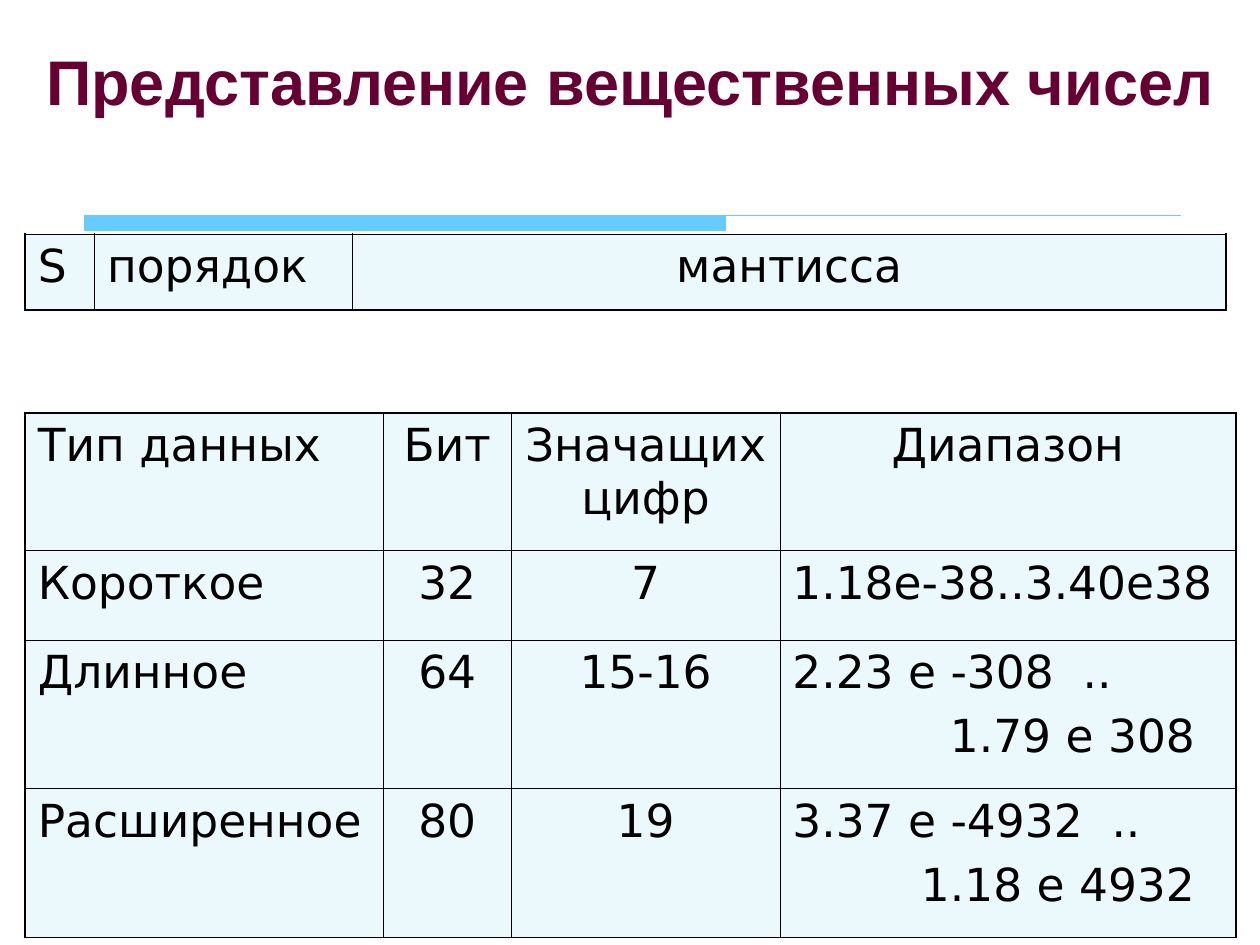
import pptx
import pptx.dml.color
import pptx.enum.text
import pptx.oxml
import pptx.oxml.ns
import pptx.util

Inches = pptx.util.Inches
Pt = pptx.util.Pt
ALIGN = pptx.enum.text.PP_ALIGN
LEFT, CENTER = ALIGN.LEFT, ALIGN.CENTER

TITLE = "Представление вещественных чисел"
BLUE, MAROON, BLACK, PALE = "66CCFF", "660033", "000000", "ECF9FC"
OUTER_LINE, INNER_LINE = 1.08, 0.45

TYPES_TABLE = {
    "position": (0.2, 3.28),
    "columns": [2.84, 1.02, 2.13, 3.62],
    "rows": [1.09, 0.71, 1.18, 1.18],
    "alignments": [LEFT, CENTER, CENTER, LEFT],
    "cells": [
        ["Тип данных", "Бит", "Значащих цифр", "Диапазон"],
        ["Короткое", "32", "7", "1.18е-38..3.40е38"],
        ["Длинное", "64", "15-16", "2.23 е -308  ..\n1.79 е 308"],
        ["Расширенное", "80", "19", "3.37 е -4932  ..\n1.18 е 4932"],
    ],
    "second_line_indents": {2: 1.25, 3: 1.02},
    "centered": (0, 3),
}
FORMAT_TABLE = {
    "position": (0.2, 1.86),
    "columns": [0.55, 2.05, 6.93],
    "rows": [0.6],
    "alignments": [LEFT, LEFT, CENTER],
    "cells": [["S", "порядок", "мантисса"]],
    "second_line_indents": {},
    "centered": None,
}


def color(value):
    return pptx.dml.color.RGBColor.from_string(value)


def set_font(paragraph, name, size, value, bold=False):
    paragraph.font.name = name
    paragraph.font.size = Pt(size)
    paragraph.font.color.rgb = color(value)
    paragraph.font.bold = bold


def set_borders(cell, widths):
    properties = cell._tc.get_or_add_tcPr()
    for index, (side, width) in enumerate(widths.items()):
        line = pptx.oxml.parse_xml(
            f'<a:ln{side} {pptx.oxml.ns.nsdecls("a")} w="{int(Pt(width))}">'
            f'<a:solidFill><a:srgbClr val="{BLACK}"/></a:solidFill></a:ln{side}>'
        )
        properties.insert(index, line)


def add_table(slide, data):
    columns, rows = data["columns"], data["rows"]
    left, top = data["position"]
    table = slide.shapes.add_table(
        len(rows), len(columns), Inches(left), Inches(top),
        Inches(sum(columns)), Inches(sum(rows)),
    ).table
    table.first_row = False
    table.horz_banding = False
    for column, width in zip(table.columns, columns):
        column.width = Inches(width)
    for row, height in zip(table.rows, rows):
        row.height = Inches(height)
    for row, texts in enumerate(data["cells"]):
        for column, text in enumerate(texts):
            cell = table.cell(row, column)
            cell.text = text
            cell.fill.solid()
            cell.fill.fore_color.rgb = color(PALE)
            outer = {
                "L": column == 0,
                "R": column == len(columns) - 1,
                "T": row == 0,
                "B": row == len(rows) - 1,
            }
            set_borders(cell, {side: OUTER_LINE if edge else INNER_LINE
                               for side, edge in outer.items()})
            centered = (row, column) == data["centered"]
            for index, paragraph in enumerate(cell.text_frame.paragraphs):
                paragraph.alignment = CENTER if centered else data["alignments"][column]
                if index:
                    indent = Inches(data["second_line_indents"][row])
                    paragraph._p.get_or_add_pPr().set("marL", str(indent))
                    paragraph.space_before = Pt(6.5)
                set_font(paragraph, "DejaVu Sans", 26, BLACK)


def add_title(slide):
    title = slide.shapes.title
    title.left, title.top = Inches(0), Inches(0.33)
    title.width, title.height = Inches(10), Inches(0.66)
    title.text_frame.text = TITLE
    title.text_frame.vertical_anchor = pptx.enum.text.MSO_ANCHOR.BOTTOM
    paragraph = title.text_frame.paragraphs[0]
    paragraph.alignment = CENTER
    set_font(paragraph, "Arial", 36, MAROON, bold=True)


def add_divider(slide):
    left, top, bar_right, rule_right, bottom = (
        Inches(value) for value in (0.67, 1.71, 5.76, 9.37, 1.83))
    builder = slide.shapes.build_freeform(left, top)
    builder.add_line_segments(
        [(bar_right, top), (bar_right, bottom), (left, bottom)], close=True)
    builder.move_to(left, top)
    builder.add_line_segments([(rule_right, top)], close=False)
    divider = builder.convert_to_shape()
    divider.shadow.inherit = False
    divider.fill.solid()
    divider.fill.fore_color.rgb = color(BLUE)
    divider.line.color.rgb = color(BLUE)
    divider.line.width = Pt(0.75)


def main():
    presentation = pptx.Presentation()
    presentation.slide_width = Inches(10)
    presentation.slide_height = Inches(7.5)
    slide = presentation.slides.add_slide(presentation.slide_layouts[5])
    add_divider(slide)
    add_title(slide)
    for data in (TYPES_TABLE, FORMAT_TABLE):
        add_table(slide, data)
    presentation.save("out.pptx")


if __name__ == "__main__":
    main()
